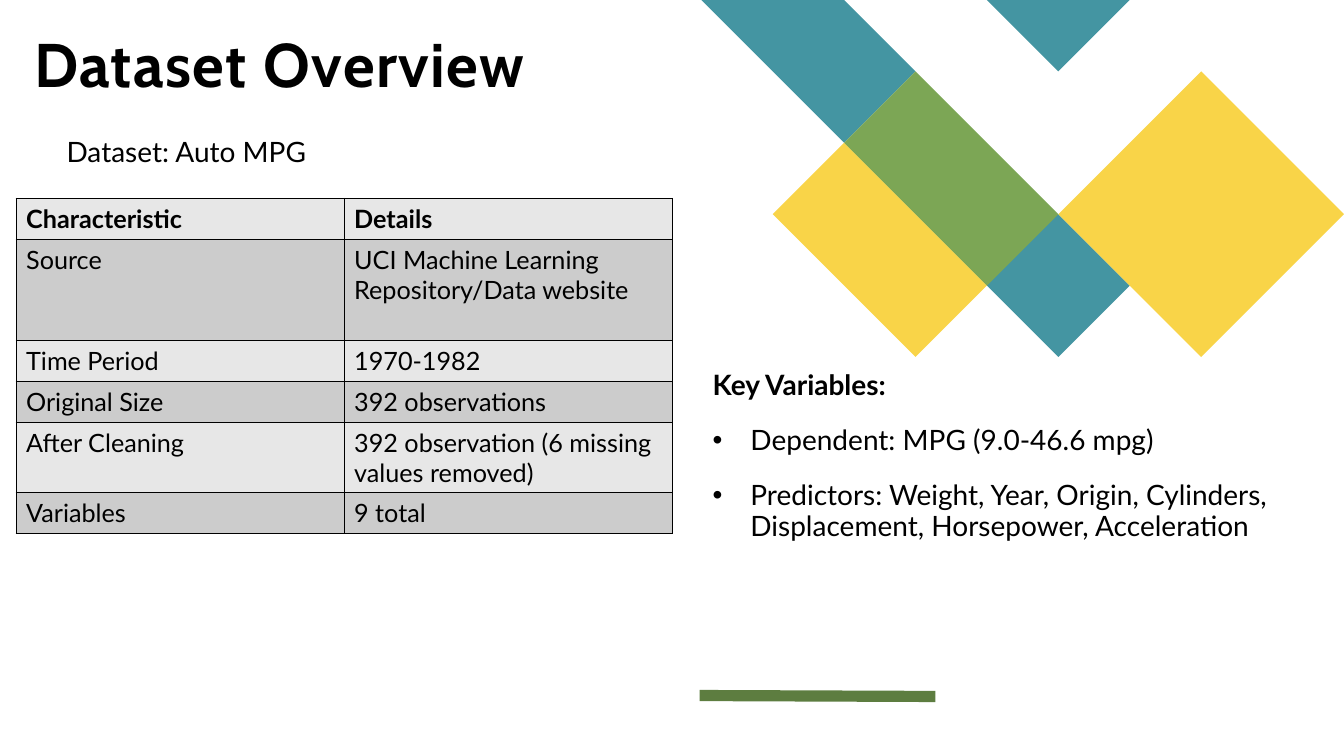
from dataclasses import dataclass

from lxml.etree import SubElement
from pptx import Presentation
from pptx.dml.color import RGBColor
from pptx.enum.shapes import MSO_CONNECTOR as Connector
from pptx.enum.text import MSO_ANCHOR as Anchor
from pptx.oxml.ns import qn
from pptx.slide import Slide
from pptx.table import _Cell as Cell
from pptx.text.text import _Paragraph as Paragraph
from pptx.util import Pt

BLACK = RGBColor(0x00, 0x00, 0x00)
TEAL = RGBColor(0x44, 0x95, 0xA2)
YELLOW = RGBColor(0xF9, 0xD4, 0x48)
GREEN = RGBColor(0x7C, 0xA6, 0x55)
DARK_GREEN = RGBColor(0x5D, 0x7D, 0x40)
LIGHT_GRAY = RGBColor(0xE7, 0xE7, 0xE7)
MID_GRAY = RGBColor(0xCC, 0xCC, 0xCC)

HEADING_FONT = "Cabin"
BODY_FONT = "Lato"

# The diamonds sit on a square lattice that ends at the right slide edge
LATTICE_LEFT = 501
LATTICE_STEP = 51

Contour = list[tuple[int, int]]


@dataclass
class Tile:
    color: RGBColor
    contours: list[Contour]


@dataclass
class Line:
    text: str
    bold: bool = False
    bullet: bool = False


@dataclass
class TextBox:
    left: float
    top: float
    width: float
    height: float
    lines: list[Line]
    font: str = BODY_FONT
    size: float = 20
    line_spacing: float = 0.9
    top_inset: float = 0
    anchor: Anchor = Anchor.TOP
    letter_spacing: float = 0


TILES = [
    Tile(TEAL, [[(3, 1), (2, 0), (0, 0), (2, 2)], [(6, 4), (5, 3), (4, 4), (5, 5)]]),
    Tile(YELLOW, [[(2, 2), (1, 3), (3, 5), (4, 4)]]),
    Tile(TEAL, [[(6, 0), (4, 0), (5, 1)]]),
    Tile(GREEN, [[(3, 1), (2, 2), (4, 4), (5, 3)]]),
    Tile(YELLOW, [[(9, 3), (7, 1), (5, 3), (7, 5)]]),
]

TEXT_BOXES = [
    TextBox(24.5, 26.6, 388.8, 44.6, [Line("Dataset Overview", bold=True)],
            font=HEADING_FONT, size=44, line_spacing=0.8,
            anchor=Anchor.BOTTOM, letter_spacing=1),
    TextBox(47.5, 99, 409, 24, [Line("Dataset: Auto MPG")]),
    TextBox(509, 261.4, 409, 261.4, [
        Line("Key Variables:", bold=True),
        Line("Dependent: MPG (9.0-46.6 mpg)", bullet=True),
        Line("Predictors: Weight, Year, Origin, Cylinders, Displacement, "
             "Horsepower, Acceleration", bullet=True),
    ], top_inset=3.6),
]

TABLE_ROWS = [
    ("Characteristic", "Details"),
    ("Source", "UCI Machine Learning Repository/Data website"),
    ("Time Period", "1970-1982"),
    ("Original Size", "392 observations"),
    ("After Cleaning", "392 observation (6 missing values removed)"),
    ("Variables", "9 total"),
]
ROW_HEIGHTS = [29.2, 72.2, 29.2, 29.2, 50.4, 29.2]
COLUMN_WIDTH = 234.3


def add_tile(slide: Slide, tile: Tile) -> None:
    contours = [[(Pt(LATTICE_LEFT + column * LATTICE_STEP), Pt(row * LATTICE_STEP))
                 for column, row in contour] for contour in tile.contours]
    builder = slide.shapes.build_freeform(*contours[0][0], scale=1.0)
    for index, points in enumerate(contours):
        if index:
            builder.move_to(*points[0])
        builder.add_line_segments(points[1:], close=True)
    shape = builder.convert_to_shape()
    shape.shadow.inherit = False
    shape.fill.solid()
    shape.fill.fore_color.rgb = tile.color
    shape.line.fill.background()


def add_accent_line(slide: Slide) -> None:
    connector = slide.shapes.add_connector(
        Connector.STRAIGHT, Pt(499.7), Pt(496.8), Pt(668.2), Pt(497.5))
    connector.line.color.rgb = DARK_GREEN
    connector.line.width = Pt(8)
    SubElement(connector._element.spPr, qn("a:effectLst"))


def style_font(paragraph: Paragraph, font: str, size: float, bold: bool) -> None:
    for run in paragraph.runs:
        run.font.name = font
        run.font.size = Pt(size)
        run.font.bold = bold
        run.font.color.rgb = BLACK


def add_bullet(paragraph: Paragraph) -> None:
    properties = paragraph._p.get_or_add_pPr()
    properties.set("marL", str(Pt(27)))
    properties.set("indent", str(-Pt(27)))
    SubElement(properties, qn("a:buFont"), typeface="Arial")
    SubElement(properties, qn("a:buChar"), char="•")


def add_text(slide: Slide, box: TextBox) -> None:
    shape = slide.shapes.add_textbox(
        Pt(box.left), Pt(box.top), Pt(box.width), Pt(box.height))
    frame = shape.text_frame
    frame.word_wrap = True
    frame.vertical_anchor = box.anchor
    frame.margin_left = frame.margin_right = frame.margin_bottom = 0
    frame.margin_top = Pt(box.top_inset)
    frame.text = "\n".join(line.text for line in box.lines)
    for index, (paragraph, line) in enumerate(zip(frame.paragraphs, box.lines)):
        if line.bullet:
            add_bullet(paragraph)
        paragraph.line_spacing = box.line_spacing
        if index:
            paragraph.space_before = Pt(18)
        style_font(paragraph, box.font, box.size, line.bold)
        if box.letter_spacing:
            for run in paragraph.runs:
                run.font._element.set("spc", str(int(box.letter_spacing * 100)))


def add_borders(cell: Cell) -> None:
    properties = cell._tc.get_or_add_tcPr()
    for side in ("lnL", "lnR", "lnT", "lnB"):
        border = SubElement(properties, qn(f"a:{side}"), w=str(Pt(1)))
        fill = SubElement(border, qn("a:solidFill"))
        SubElement(fill, qn("a:srgbClr"), val=str(BLACK))


def add_characteristics_table(slide: Slide) -> None:
    column_count = len(TABLE_ROWS[0])
    table = slide.shapes.add_table(
        len(TABLE_ROWS), column_count, Pt(11.5), Pt(141.8),
        Pt(COLUMN_WIDTH * column_count), Pt(sum(ROW_HEIGHTS))).table
    table.first_row = table.horz_banding = False
    for column in table.columns:
        column.width = Pt(COLUMN_WIDTH)
    for row_index, texts in enumerate(TABLE_ROWS):
        table.rows[row_index].height = Pt(ROW_HEIGHTS[row_index])
        for column_index, text in enumerate(texts):
            cell = table.cell(row_index, column_index)
            cell.text_frame.text = text
            style_font(cell.text_frame.paragraphs[0], BODY_FONT, 18, row_index == 0)
            add_borders(cell)
            cell.fill.solid()
            cell.fill.fore_color.rgb = MID_GRAY if row_index % 2 else LIGHT_GRAY


def main() -> None:
    presentation = Presentation()
    presentation.slide_width = Pt(960)
    presentation.slide_height = Pt(540)
    slide = presentation.slides.add_slide(presentation.slide_layouts[6])

    # Decoration
    for tile in TILES:
        add_tile(slide, tile)
    add_accent_line(slide)

    # Content
    for box in TEXT_BOXES:
        add_text(slide, box)
    add_characteristics_table(slide)

    presentation.save("out.pptx")


if __name__ == "__main__":
    main()
